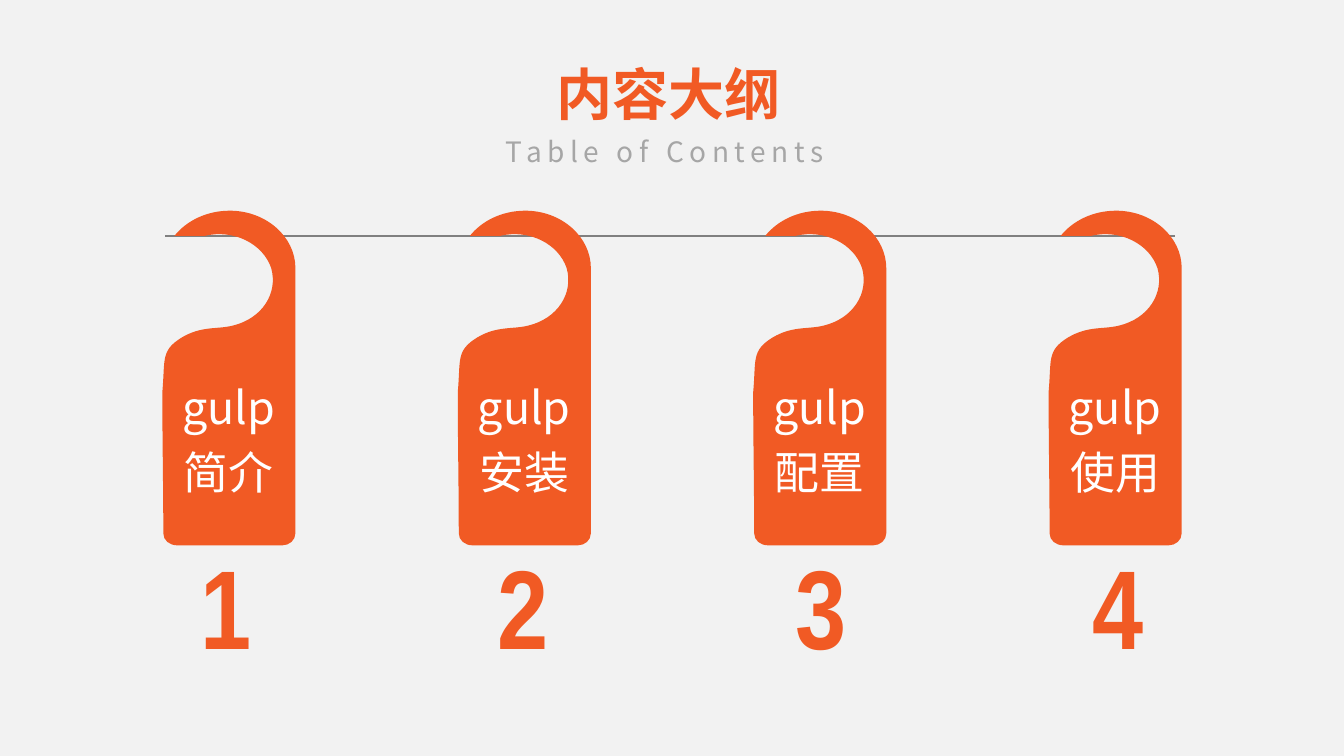
from pptx import Presentation
from pptx.dml.color import RGBColor
from pptx.enum import shapes, text
from pptx.oxml import ns
from pptx.util import Inches, Pt
from lxml import etree

TITLE = "内容大纲"
SUBTITLE = "Table of Contents"
TOPICS = ["简介", "安装", "配置", "使用"]

ORANGE = RGBColor(0xF1, 0x5A, 0x24)
RAIL_GRAY = RGBColor(0x80, 0x80, 0x80)
SUBTITLE_GRAY = RGBColor(0xA6, 0xA6, 0xA6)
WHITE = RGBColor(0xFF, 0xFF, 0xFF)
BACKGROUND = RGBColor(0xF2, 0xF2, 0xF2)
BODY_FONT = "Noto Sans CJK SC"
NUMBER_FONT = "Arial Narrow"

TAG_LEFT, TAG_TOP, TAG_PITCH = 1.61, 2.09, 2.93
NUMBER_LEFT, NUMBER_PITCH = 1.53, 2.95

# Door hanger outline in inches from its top left corner:
# one point is a straight side, three points are a Bezier curve.
HANGER_START = (0.67, 0)
HANGER = [
    [(1.03, 0), (1.32, 0.26), (1.32, 0.57)],
    [(1.32, 1.17)],
    [(1.32, 1.7)],
    [(1.32, 3.2)],
    [(1.32, 3.27), (1.26, 3.32), (1.19, 3.32)],
    [(0.15, 3.32)],
    [(0.07, 3.32), (0.01, 3.27), (0.01, 3.2)],
    [(0.01, 2.73), (0, 2.27), (0, 1.8)],
    [(0.03, 1.48), (-0.02, 1.39), (0.19, 1.26)],
    [(0.39, 1.14), (0.54, 1.18), (0.7, 1.14)],
    [(0.99, 1.07), (1.15, 0.82), (1.08, 0.57)],
    [(1, 0.33), (0.71, 0.18), (0.42, 0.25)],
    [(0.12, 0.25)],
    [(0.24, 0.1), (0.44, 0), HANGER_START],
]


def emu(point):
    """Turn a point in inches into lengths."""
    return tuple(Inches(value) for value in point)


def write(frame, *lines, size, color, font=BODY_FONT, bold=False, spacing=1.0,
          tracking=0, align=text.PP_ALIGN.CENTER, wrap=True):
    """Fill a text frame with one paragraph per line."""
    frame.word_wrap = wrap
    frame.vertical_anchor = text.MSO_ANCHOR.TOP
    for index, line in enumerate(lines):
        paragraph = frame.add_paragraph() if index else frame.paragraphs[0]
        paragraph.alignment = align
        paragraph.line_spacing = spacing
        run = paragraph.add_run()
        run.text = line
        run.font.size, run.font.bold, run.font.name = Pt(size), bold, font
        run.font.color.rgb = color
        properties = run.font._element
        etree.SubElement(properties, ns.qn("a:ea")).set("typeface", font)
        if tracking:
            properties.set("spc", str(tracking * 100))


def add_label(slide, label, left, top, width, height, **style):
    """Add a text box holding one line."""
    box = slide.shapes.add_textbox(*map(Inches, (left, top, width, height)))
    write(box.text_frame, label, **style)


def add_rail(slide):
    """Draw the rail the hangers hang on."""
    rail = slide.shapes.add_connector(
        shapes.MSO_CONNECTOR.STRAIGHT,
        Inches(1.64), Inches(2.34), Inches(11.65), Inches(2.34))
    rail.line.color.rgb = RAIL_GRAY
    rail.line.width = Pt(1.5)
    etree.SubElement(rail._element.spPr, ns.qn("a:effectLst"))


def bend_sides(shape):
    """Turn the straight sides that have control points into curves."""
    sides = list(shape._element.iter(ns.qn("a:lnTo")))
    for side, points in zip(sides, HANGER):
        if len(points) == 3:
            side.tag = ns.qn("a:cubicBezTo")
            for place, control in enumerate(points[:2]):
                x, y = emu(control)
                knot = etree.Element(ns.qn("a:pt"), x=str(int(x)), y=str(int(y)))
                side.insert(place, knot)


def add_hanger(slide, topic, left):
    """Draw one door hanger with its topic."""
    builder = slide.shapes.build_freeform(*emu(HANGER_START))
    builder.add_line_segments([emu(side[-1]) for side in HANGER], close=True)
    hanger = builder.convert_to_shape(Inches(left), Inches(TAG_TOP))
    bend_sides(hanger)
    hanger.shadow.inherit = False
    hanger.fill.solid()
    hanger.fill.fore_color.rgb = ORANGE
    hanger.line.fill.background()
    hanger.text_frame.margin_top = Inches(1.57)
    write(hanger.text_frame, "gulp", topic, size=32, color=WHITE, spacing=1.2)


deck = Presentation()
deck.slide_width, deck.slide_height = Inches(13.33), Inches(7.5)
contents = deck.slides.add_slide(deck.slide_layouts[6])
contents.background.fill.solid()
contents.background.fill.fore_color.rgb = BACKGROUND

add_rail(contents)
add_label(contents, TITLE, 5.34, 0.62, 2.58, 0.8,
          size=40, color=ORANGE, bold=True, spacing=0.9)
add_label(contents, SUBTITLE, 4.92, 1.29, 3.46, 0.46, size=20, color=SUBTITLE_GRAY,
          tracking=4, align=text.PP_ALIGN.LEFT, wrap=False)
for index, topic in enumerate(TOPICS):
    add_hanger(contents, topic, TAG_LEFT + index * TAG_PITCH)
    add_label(contents, str(index + 1), NUMBER_LEFT + index * NUMBER_PITCH, 5.54, 1.42, 1.34,
              size=80, color=ORANGE, font=NUMBER_FONT, bold=True, spacing=0.8)

deck.save("out.pptx")
